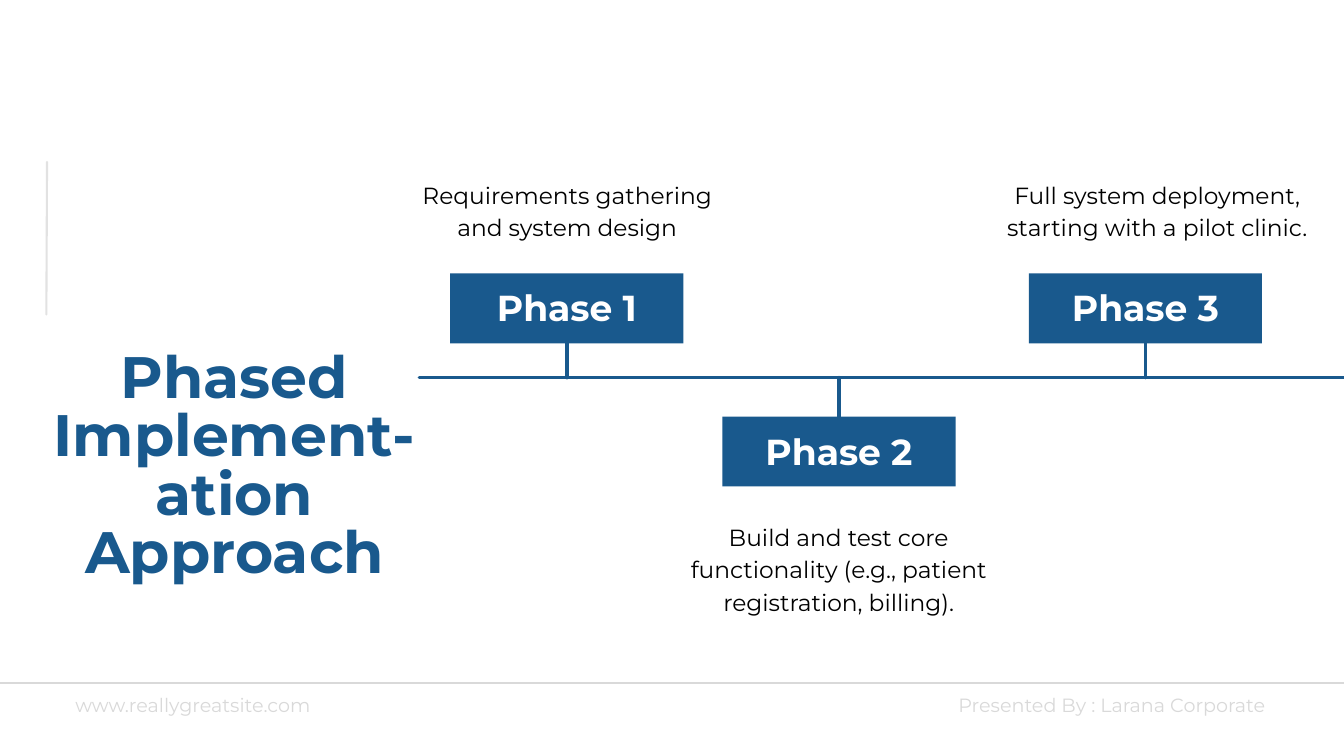
from dataclasses import dataclass

import lxml.etree
import pptx
import pptx.dml.color
import pptx.enum.shapes
import pptx.enum.text
import pptx.oxml.ns
import pptx.util

COLUMNS, ROWS = 20, 11.25
CELL = pptx.util.Inches(1)
FONT = "Montserrat"
BLUE, GREY, BLACK, WHITE = "19598D", "D9D9D9", "000000", "FFFFFF"
AXIS_ROW = 5.62
BOX_WIDTH, BOX_HEIGHT = 3.47, 1.04
NOTE_WIDTH = 4.74
TOP_SIDE, BOTTOM_SIDE = 0, 2
ALIGN = pptx.enum.text.PP_ALIGN


@dataclass
class Style:
    size: float
    color: str
    align: ALIGN = ALIGN.CENTER
    bold: bool = False
    spacing: float = 1.0


@dataclass
class Phase:
    name: str
    note: str
    column: float
    row: float
    note_column: float
    note_row: float
    note_lines: int


TITLE = Style(62.6, BLUE, bold=True)
LABEL = Style(38.7, WHITE, bold=True)
NOTE = Style(25, BLACK, spacing=1.4)
FOOTER_LEFT = Style(20.5, GREY, ALIGN.LEFT)
FOOTER_RIGHT = Style(20.5, GREY, ALIGN.RIGHT)

PHASES = [
    Phase("Phase 1", "Requirements gathering and system design",
          6.7, 4.07, 6.07, 2.62, 2),
    Phase("Phase 2", "Build and test core functionality (e.g., patient registration, billing).",
          10.75, 6.2, 10.11, 7.71, 3),
    Phase("Phase 3", "Full system deployment, starting with a pilot clinic.",
          15.31, 4.07, 14.85, 2.62, 2),
]


def grid(cells: float) -> int:
    return round(cells * CELL)


def rgb(color: str) -> pptx.dml.color.RGBColor:
    return pptx.dml.color.RGBColor.from_string(color)


def write(frame, text: str, style: Style) -> None:
    frame.word_wrap = True
    frame.margin_left = frame.margin_right = frame.margin_top = frame.margin_bottom = 0
    para = frame.paragraphs[0]
    para.alignment = style.align
    para.line_spacing = pptx.util.Pt(style.size * style.spacing)
    span = para.add_run()
    span.text = text
    span.font.name = FONT
    span.font.size = pptx.util.Pt(style.size)
    span.font.bold = style.bold
    span.font.color.rgb = rgb(style.color)


def add_text(page, text: str, style: Style, column: float, row: float,
             width: float, height: float) -> None:
    box = page.shapes.add_textbox(grid(column), grid(row), grid(width), grid(height))
    write(box.text_frame, text, style)


def add_line(page, start: tuple[float, float], end: tuple[float, float],
             color: str, weight: float, opacity: int = 100):
    line = page.shapes.add_connector(
        pptx.enum.shapes.MSO_CONNECTOR.STRAIGHT, *map(grid, start + end))
    line.line.color.rgb = rgb(color)
    line.line.width = pptx.util.Pt(weight)
    qn = pptx.oxml.ns.qn
    properties = line.element.spPr
    properties.find(qn("a:ln")).set("cap", "rnd")
    if opacity < 100:
        tint = properties.find(".//" + qn("a:srgbClr"))
        lxml.etree.SubElement(tint, qn("a:alpha")).set("val", str(opacity * 1000))
    lxml.etree.SubElement(properties, qn("a:effectLst"))
    return line


def add_phase(page, phase: Phase) -> None:
    box = page.shapes.add_shape(
        pptx.enum.shapes.MSO_SHAPE.RECTANGLE, grid(phase.column), grid(phase.row),
        grid(BOX_WIDTH), grid(BOX_HEIGHT))
    box.shadow.inherit = False
    box.fill.solid()
    box.fill.fore_color.rgb = rgb(BLUE)
    box.line.fill.background()
    write(box.text_frame, phase.name, LABEL)
    box.text_frame.margin_top = grid(0.08)
    box.text_frame.vertical_anchor = pptx.enum.text.MSO_ANCHOR.MIDDLE

    center = phase.column + BOX_WIDTH / 2
    above = phase.row < AXIS_ROW
    edge = phase.row + BOX_HEIGHT if above else phase.row
    stem = add_line(page, (center, edge), (center, AXIS_ROW), BLUE, 3.75)
    stem.begin_connect(box, BOTTOM_SIDE if above else TOP_SIDE)

    note_height = phase.note_lines * NOTE.size * NOTE.spacing / 72
    add_text(page, phase.note, NOTE, phase.note_column, phase.note_row,
             NOTE_WIDTH, note_height)


def main() -> None:
    deck = pptx.Presentation()
    deck.slide_width, deck.slide_height = grid(COLUMNS), grid(ROWS)
    page = deck.slides.add_slide(deck.slide_layouts[6])

    add_line(page, (0, 10.16), (COLUMNS, 10.16), GREY, 2.25)
    add_line(page, (0.69, 4.68), (0.7, 2.41), GREY, 2.25, opacity=75)
    add_line(page, (6.24, AXIS_ROW), (COLUMNS, AXIS_ROW), BLUE, 3.75)

    add_text(page, "Phased Implement-ation Approach", TITLE, 0.74, 5.23, 5.5, 3.51)
    for phase in PHASES:
        add_phase(page, phase)

    add_text(page, "www.reallygreatsite.com", FOOTER_LEFT, 1.12, 10.38, 5.58, 0.3)
    add_text(page, "Presented By : Larana Corporate", FOOTER_RIGHT, 13.29, 10.38, 5.54, 0.3)
    deck.save("out.pptx")


if __name__ == "__main__":
    main()
